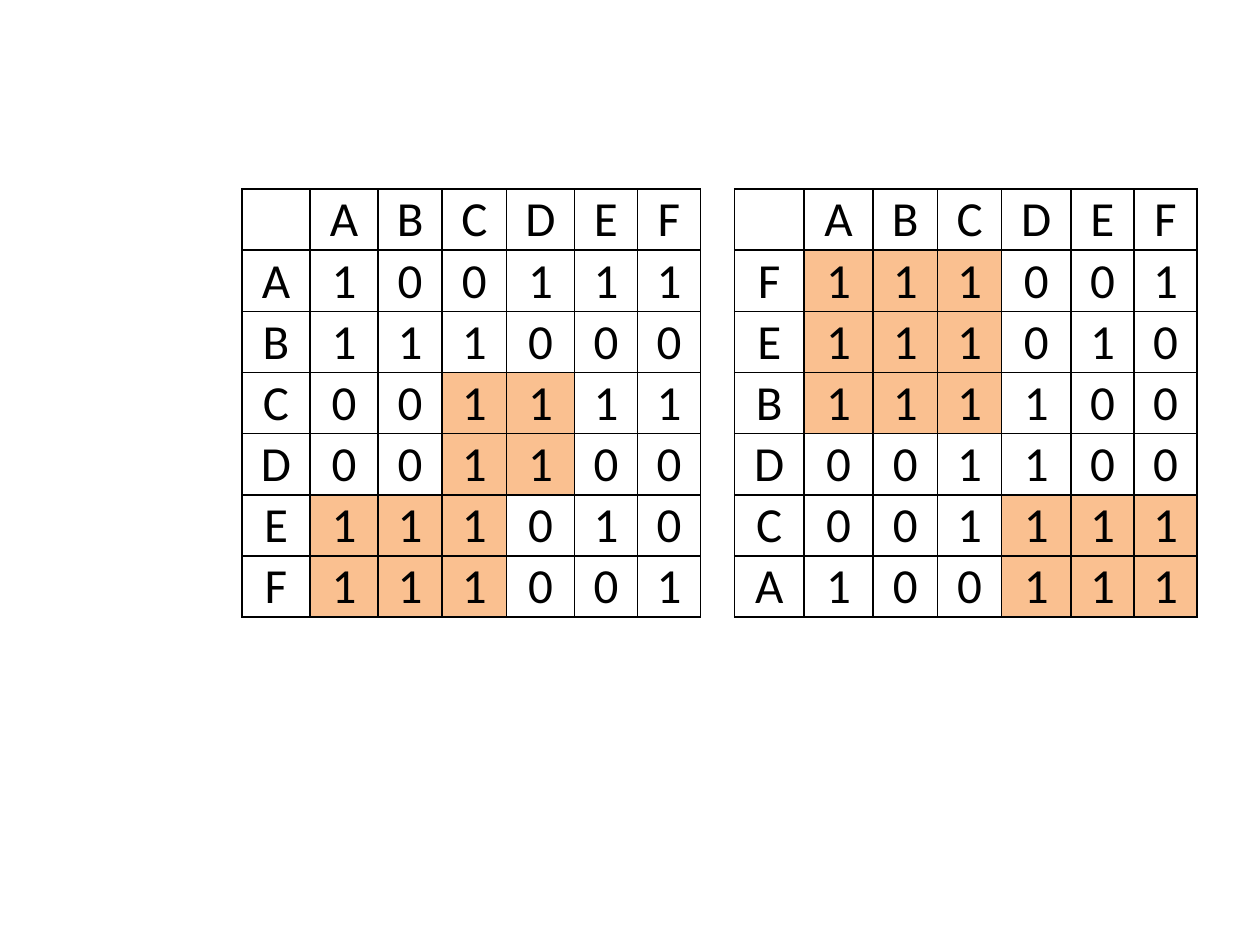
from dataclasses import dataclass

from lxml import etree
from pptx import Presentation
from pptx.dml.color import RGBColor
from pptx.enum.text import MSO_ANCHOR as ANCHOR, PP_ALIGN as ALIGN
from pptx.oxml.ns import qn
from pptx.util import Inches, Pt


@dataclass(frozen=True)
class Theme:
    font: str = "Calibri"
    size: int = 28
    ink: str = "000000"
    block: str = "FAC090"
    border: int = 1


theme = Theme()
ROW_HEIGHT = 0.48
COLUMNS = "ABCDEF"

# Each matrix: left edge, column widths, rows (label, values),
# and highlighted blocks as (first row, last row, first column, last column)
matrices = [
    (
        1.92,
        [0.54, 0.54, 0.51, 0.51, 0.54, 0.5, 0.5],
        [("A", "100111"), ("B", "111000"), ("C", "001111"),
         ("D", "001100"), ("E", "111010"), ("F", "111001")],
        [(3, 4, 3, 4), (5, 6, 1, 3)],
    ),
    (
        5.83,
        [0.55, 0.55, 0.51, 0.51, 0.55, 0.5, 0.5],
        [("F", "111001"), ("E", "111010"), ("B", "111100"),
         ("D", "001100"), ("C", "001111"), ("A", "100111")],
        [(1, 3, 1, 3), (5, 6, 4, 6)],
    ),
]


def add_borders(cell):
    tc_pr = cell._tc.get_or_add_tcPr()
    for side in ("lnL", "lnR", "lnT", "lnB"):
        ln = etree.SubElement(tc_pr, qn(f"a:{side}"), w=str(Pt(theme.border)))
        fill = etree.SubElement(ln, qn("a:solidFill"))
        etree.SubElement(fill, qn("a:srgbClr"), val=theme.ink)


prs = Presentation()
prs.slide_width, prs.slide_height = Inches(10), Inches(7.5)
s = prs.slides.add_slide(prs.slide_layouts[6])

for left, widths, rows, blocks in matrices:
    # Table grid
    grid = [["", *COLUMNS]] + [[label, *values] for label, values in rows]
    frame = s.shapes.add_table(
        len(grid), len(widths), Inches(left), Inches(1.5),
        Inches(sum(widths)), Inches(ROW_HEIGHT * len(grid)))
    table = frame.table
    table.first_row = table.horz_banding = False
    for column, width in zip(table.columns, widths):
        column.width = Inches(width)
    for row in table.rows:
        row.height = Inches(ROW_HEIGHT)

    # Cells
    for i, values in enumerate(grid):
        for j, value in enumerate(values):
            cell = table.cell(i, j)
            cell.margin_left = cell.margin_right = cell.margin_top = Inches(0.01)
            cell.margin_bottom = 0
            cell.vertical_anchor = ANCHOR.BOTTOM
            add_borders(cell)
            if any(top <= i <= bottom and first <= j <= last
                   for top, bottom, first, last in blocks):
                cell.fill.solid()
                cell.fill.fore_color.rgb = RGBColor.from_string(theme.block)
            else:
                cell.fill.background()
            if value:
                p = cell.text_frame.paragraphs[0]
                p.alignment = ALIGN.CENTER
                r = p.add_run()
                r.text = value
                r.font.name = theme.font
                r.font.size = Pt(theme.size)
                r.font.color.rgb = RGBColor.from_string(theme.ink)

prs.save("out.pptx")
